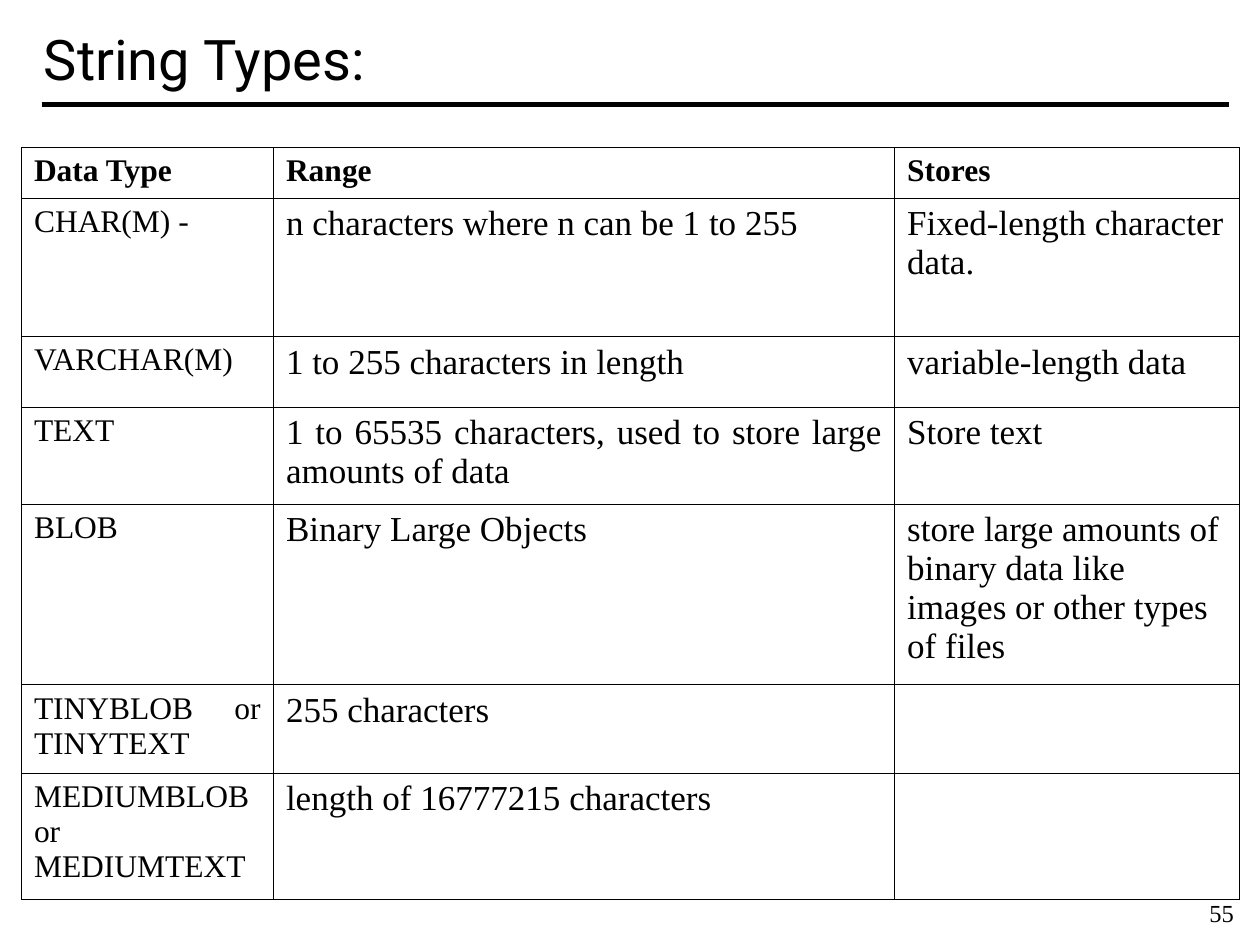
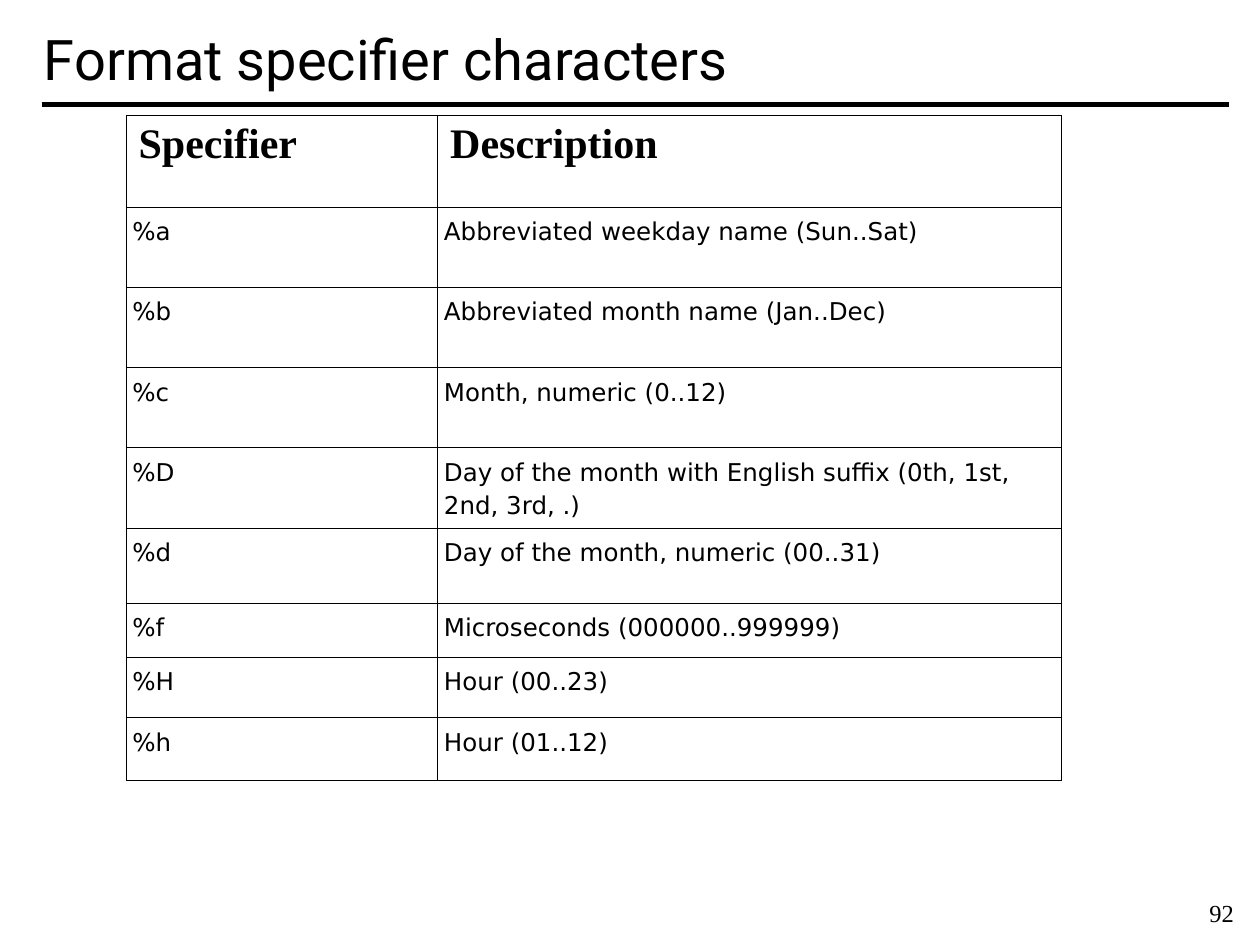
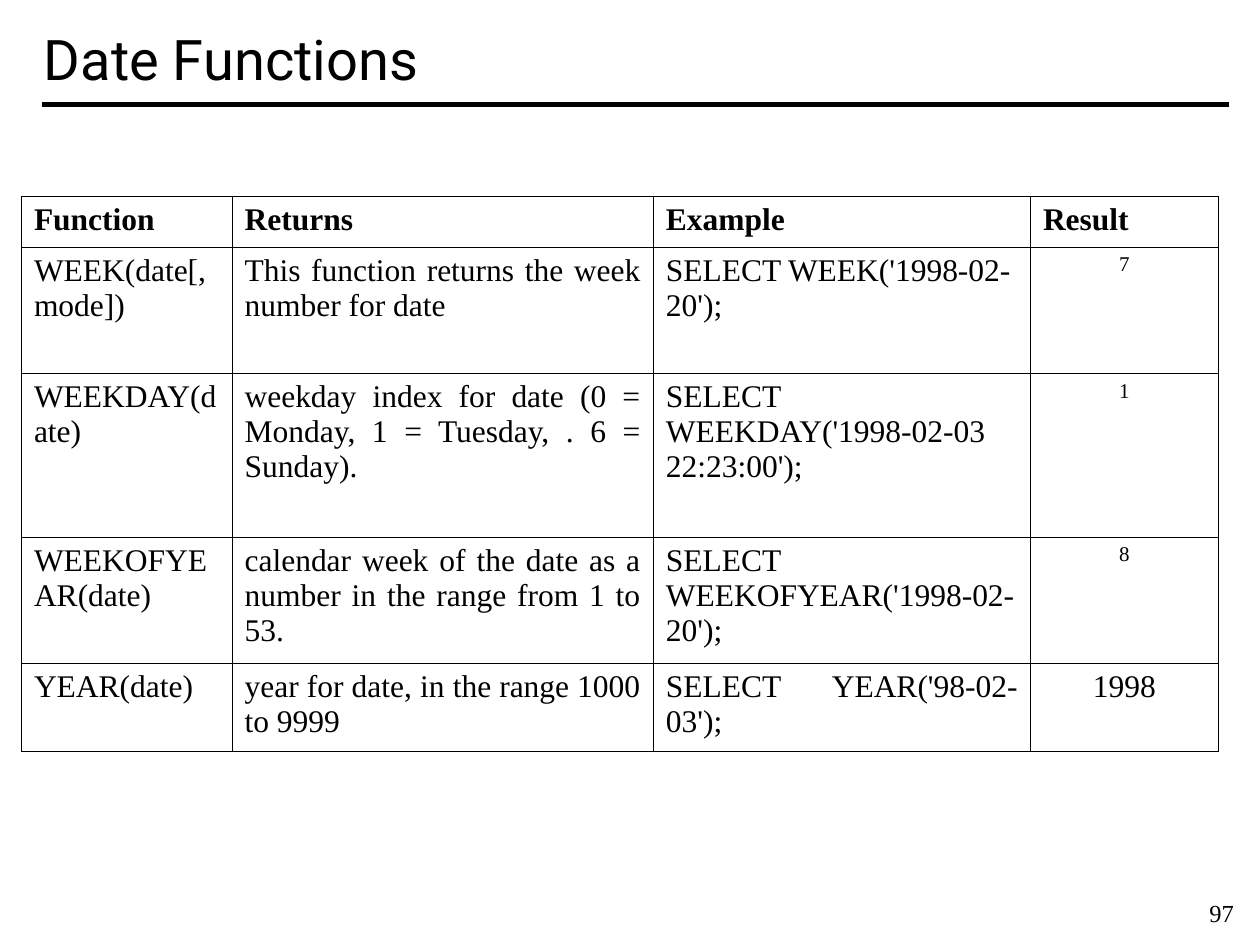
from lxml import etree
from pptx import Presentation
from pptx.dml.color import RGBColor
from pptx.enum.shapes import MSO_CONNECTOR
from pptx.enum.text import MSO_ANCHOR, PP_ALIGN
from pptx.oxml.ns import qn
from pptx.util import Inches, Pt

LEFT, CENTER, JUSTIFY = PP_ALIGN.LEFT, PP_ALIGN.CENTER, PP_ALIGN.JUSTIFY
MIDDLE = MSO_ANCHOR.MIDDLE
STRAIGHT = MSO_CONNECTOR.STRAIGHT

WIDTH, HEIGHT = Inches(10), Inches(7.5)
INK = "000000"
TITLE_FONT, BODY_FONT, SPECIFIER_FONT = "Roboto", "Times New Roman", "DejaVu Sans"
TITLE_BOX = (0.025, 0, 0.95, 0.122)
PAGE_BOX = (0.95, 0.944, 0.05, 0.045)
RULE_START, RULE_END, RULE_Y = 0.033, 0.975, 0.111
BORDER_WIDTH = Pt(0.45)

STRING_TYPES = [
    ["Data Type", "Range", "Stores"],
    ["CHAR(M) -", "n characters where n can be 1 to 255", "Fixed-length character data."],
    ["VARCHAR(M)", "1 to 255 characters in length", "variable-length data"],
    ["TEXT", "1 to 65535 characters, used to store large amounts of data", "Store text"],
    ["BLOB", "Binary Large Objects",
     "store large amounts of binary data like images or other types of files"],
    ["TINYBLOB or TINYTEXT", "255 characters", ""],
    ["MEDIUMBLOB or MEDIUMTEXT", "length of 16777215 characters", ""],
]
SPECIFIERS = [
    ["Specifier", "Description"],
    ["%a", "Abbreviated weekday name (Sun..Sat)"],
    ["%b", "Abbreviated month name (Jan..Dec)"],
    ["%c", "Month, numeric (0..12)"],
    ["%D", "Day of the month with English suffix (0th, 1st, 2nd, 3rd, .)"],
    ["%d", "Day of the month, numeric (00..31)"],
    ["%f", "Microseconds (000000..999999)"],
    ["%H", "Hour (00..23)"],
    ["%h", "Hour (01..12)"],
]
DATE_FUNCTIONS = [
    ["Function", "Returns", "Example", "Result"],
    ["WEEK(date[,mode])", "This function returns the week number for date",
     "SELECT WEEK('1998-02-20');", "7"],
    ["WEEKDAY(date)", "weekday index for date (0 = Monday, 1 = Tuesday, . 6 = Sunday).",
     "SELECT WEEKDAY('1998-02-03 22:23:00');", "1"],
    ["WEEKOFYEAR(date)",
     "calendar week of the date as a number in the range from 1 to 53.",
     "SELECT WEEKOFYEAR('1998-02-20');", "8"],
    ["YEAR(date)", "year for date, in the range 1000 to 9999",
     "SELECT YEAR('98-02-03');", "1998"],
]


def color(hex_string):
    return RGBColor.from_string(hex_string)


def place(box):
    x, y, w, h = box
    return int(x * WIDTH), int(y * HEIGHT), int(w * WIDTH), int(h * HEIGHT)


def write(tf, text, size=18, font=BODY_FONT, bold=False, align=LEFT, spacing=None, after=None):
    p = tf.paragraphs[0]
    p.alignment = align
    if spacing:
        p.line_spacing = spacing
    if after:
        p.space_after = Pt(after)
    r = p.add_run()
    r.text = text
    r.font.size = Pt(size)
    r.font.name = font
    r.font.bold = bold
    r.font.color.rgb = color(INK)


def add_text(s, box, text, anchor=MSO_ANCHOR.TOP, **style):
    tf = s.shapes.add_textbox(*place(box)).text_frame
    tf.word_wrap = True
    tf.vertical_anchor = anchor
    write(tf, text, **style)


def add_rule(s):
    y = int(RULE_Y * HEIGHT)
    rule = s.shapes.add_connector(STRAIGHT, int(RULE_START * WIDTH), y, int(RULE_END * WIDTH), y)
    rule.line.color.rgb = color(INK)
    rule.line.width = Pt(3)
    etree.SubElement(rule._element.spPr, qn("a:effectLst"))


def add_frame(prs, title, page):
    s = prs.slides.add_slide(prs.slide_layouts[6])
    add_rule(s)
    add_text(s, PAGE_BOX, page, size=14)
    add_text(s, TITLE_BOX, title, anchor=MIDDLE, size=32, font=TITLE_FONT)
    return s


def outline(cell):
    props = cell._tc.get_or_add_tcPr()
    for index, side in enumerate(("a:lnL", "a:lnR", "a:lnT", "a:lnB")):
        line = etree.Element(qn(side), w=str(BORDER_WIDTH))
        fill = etree.SubElement(line, qn("a:solidFill"))
        etree.SubElement(fill, qn("a:srgbClr"), val=INK)
        props.insert(index, line)


def share_out(tracks, weights, total, attribute):
    for track, weight in zip(tracks, weights):
        setattr(track, attribute, int(total * weight / sum(weights)))


def add_grid(s, box, rows, columns, heights, header, styles, special=None, body_inset=0.1):
    x, y, w, h = place(box)
    table = s.shapes.add_table(len(rows), len(columns), x, y, w, h).table
    table.first_row = table.horz_banding = False
    share_out(table.columns, columns, w, "width")
    share_out(table.rows, heights, h, "height")
    for i, row in enumerate(rows):
        for j, text in enumerate(row):
            cell = table.cell(i, j)
            cell.fill.background()
            outline(cell)
            cell.margin_left = cell.margin_right = Inches(body_inset if i else 0.1)
            cell.margin_top = cell.margin_bottom = Inches(0.05)
            if text:
                style = {**styles[j], **(special or {}).get((i, j), {})} if i else header
                write(cell.text_frame, text, **style)


def main():
    prs = Presentation()
    prs.slide_width, prs.slide_height = WIDTH, HEIGHT

    header = dict(size=18, bold=True, align=JUSTIFY)
    justified = dict(size=18, align=JUSTIFY)
    left = dict(align=LEFT)

    s = add_frame(prs, "String Types:", "55")
    add_grid(s, (0.017, 0.156, 0.967, 0.795), STRING_TYPES,
             columns=[2, 4.93, 2.74], heights=[0.4, 1.1, 0.56, 0.77, 1.43, 0.7, 1],
             header=header,
             styles=[justified, dict(size=20, align=JUSTIFY), dict(size=20)],
             special={(1, 1): left})

    s = add_frame(prs, "Format specifier characters", "92")
    specifier = dict(size=14, font=SPECIFIER_FONT, spacing=1.15, after=10)
    add_grid(s, (0.1, 0.122, 0.742, 0.704), SPECIFIERS,
             columns=[1, 2], heights=[0.73] + [0.64] * 4 + [0.6, 0.43, 0.48, 0.5],
             header={**header, "size": 24},
             styles=[specifier] * 2, body_inset=0.05)

    s = add_frame(prs, "Date Functions", "97")
    add_grid(s, (0.017, 0.208, 0.95, 0.587), DATE_FUNCTIONS,
             columns=[1.67, 3.34, 2.99, 1.49], heights=[0.4, 1, 1.3, 1, 0.7],
             header=header,
             styles=[justified] * 3 + [dict(size=12, align=CENTER)],
             special={(1, 0): left, (1, 2): left, (3, 2): left, (4, 3): dict(size=18)})

    prs.save("out.pptx")


if __name__ == "__main__":
    main()
